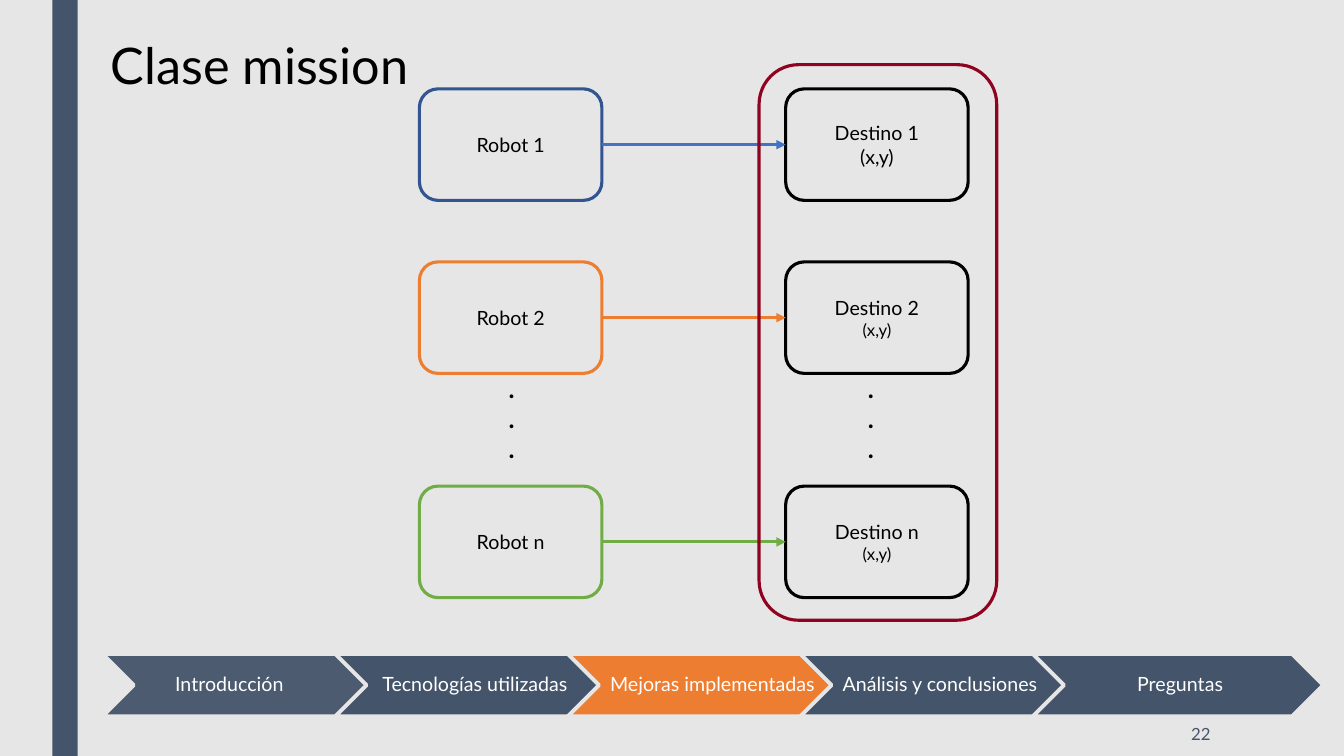
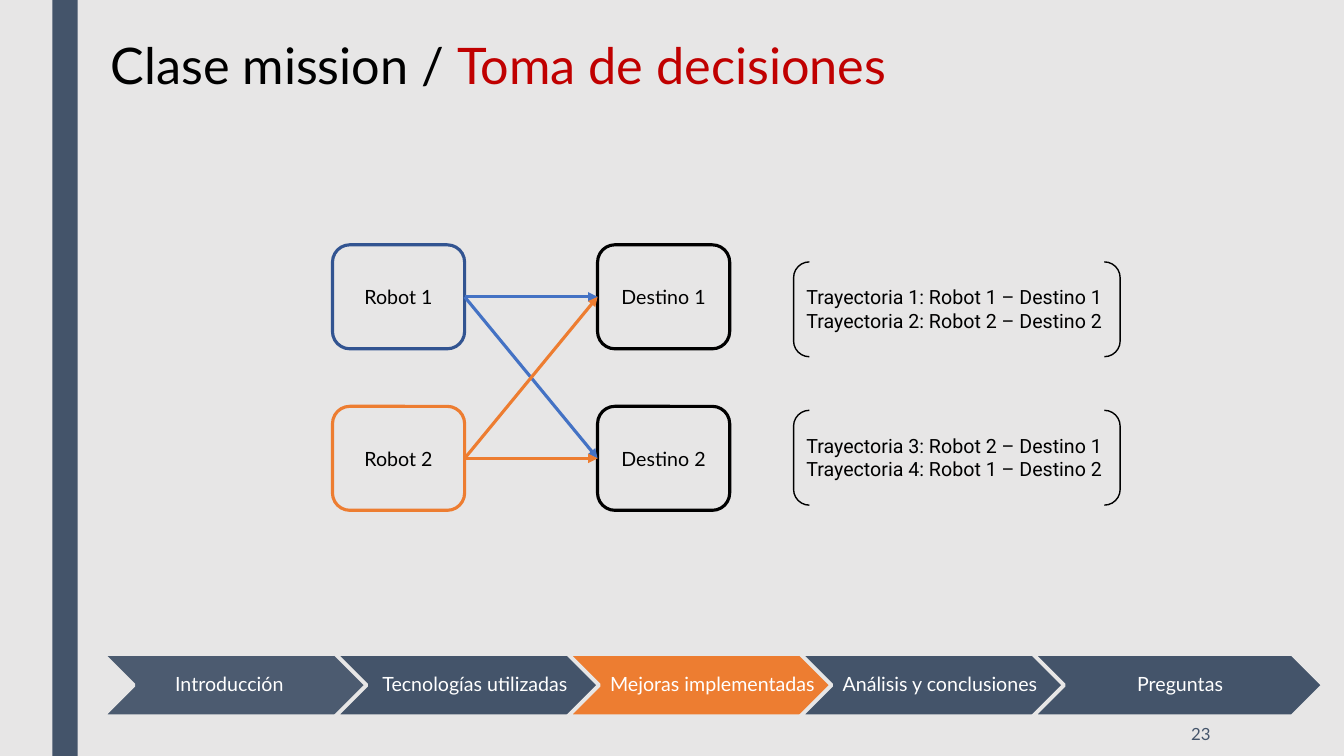
from lxml.etree import SubElement
from pptx import Presentation
from pptx.dml.color import RGBColor
from pptx.enum.shapes import MSO_CONNECTOR, MSO_SHAPE as Shape
from pptx.enum.text import MSO_ANCHOR as Anchor, PP_ALIGN as Align
from pptx.oxml.ns import qn
from pptx.util import Cm, Pt

# Shared style
BACKGROUND, SLATE, BLACK, WHITE = "E7E6E6", "44546A", "000000", "FFFFFF"
NAVY, BLUE, ORANGE, GREEN = "325491", "4472C4", "ED7D31", "70AD47"
WINE, RED = "8F0321", "C00000"
FONT, LIST_FONT = "Lato", "Roboto"
PAGE_WIDTH, PAGE_HEIGHT = 33.87, 19.05

# Section name, chevron width, left indent (None means centred)
SECTIONS = [
    ("Introducción", 8.43, 0.89),
    ("Tecnologías utilizadas", 8.43, 0.25),
    ("Mejoras implementadas", 8.43, 0.13),
    ("Análisis y conclusiones", 8.43, 0.13),
    ("Preguntas", 7.32, None),
]
CURRENT_SECTION = "Mejoras implementadas"


def rgb(color):
    return RGBColor.from_string(color)


def style_span(span, size, color=BLACK, font=FONT, bold=False):
    span.font.size = Pt(size)
    span.font.name = font
    span.font.bold = bold
    span.font.color.rgb = rgb(color)


def write(box, text, size, align=Align.LEFT, anchor=Anchor.TOP, **style):
    frame = box.text_frame
    frame.word_wrap = True
    frame.vertical_anchor = anchor
    frame.text = text
    for para in frame.paragraphs:
        para.alignment = align
        for span in para.runs:
            style_span(span, size, **style)
    return frame


def add_text(page, left, top, width, height, text, size, **options):
    box = page.shapes.add_textbox(Cm(left), Cm(top), Cm(width), Cm(height))
    return write(box, text, size, **options)


def add_shape(page, kind, left, top, width, height,
              fill=None, line=None, weight=2.25):
    shape = page.shapes.add_shape(
        kind, Cm(left), Cm(top), Cm(width), Cm(height))
    shape.shadow.inherit = False
    if fill:
        shape.fill.solid()
        shape.fill.fore_color.rgb = rgb(fill)
    else:
        shape.fill.background()
    if line:
        shape.line.color.rgb = rgb(line)
        shape.line.width = Pt(weight)
    else:
        shape.line.fill.background()
    return shape


def add_node(page, left, top, width, height, text, line):
    node = add_shape(page, Shape.ROUNDED_RECTANGLE,
                     left, top, width, height, line=line)
    write(node, text, 14, align=Align.CENTER, anchor=Anchor.MIDDLE)
    return node


def add_arrow(page, start, end, color):
    """Join the right side of one node to the left side of another."""
    arrow = page.shapes.add_connector(MSO_CONNECTOR.STRAIGHT, 0, 0, 0, 0)
    arrow.begin_connect(start, 3)
    arrow.end_connect(end, 1)
    arrow.line.color.rgb = rgb(color)
    arrow.line.width = Pt(2.25)
    SubElement(arrow.line._get_or_add_ln(), qn("a:tailEnd"), type="triangle")
    SubElement(arrow._element.spPr, qn("a:effectLst"))


def add_title(page, text, width, accent=""):
    frame = add_text(page, 2.54, 0.74, width, 1.8, text, 36)
    if accent:
        span = frame.paragraphs[0].add_run()
        span.text = accent
        style_span(span, 36, RED)


def add_progress(page):
    for index, (name, width, indent) in enumerate(SECTIONS):
        color = ORANGE if name == CURRENT_SECTION else SLATE
        chevron = add_shape(page, Shape.CHEVRON, 2.59 + 5.86 * index, 16.48,
                            width, 1.57, fill=color, line=BACKGROUND,
                            weight=2.75)
        frame = write(chevron, name, 14, color=WHITE, anchor=Anchor.MIDDLE,
                      align=Align.CENTER if indent is None else Align.LEFT)
        frame.margin_left = Cm(0.15 + (indent or 0))
        frame.margin_right = frame.margin_top = frame.margin_bottom = Cm(0.05)
        frame.paragraphs[0].line_spacing = 0.9
        if index == 0:
            tint = chevron.fill._xPr.find(qn("a:solidFill"))[0]
            SubElement(tint, qn("a:alpha"), val="95000")


def add_page(deck, number):
    page = deck.slides.add_slide(deck.slide_layouts[6])
    add_shape(page, Shape.RECTANGLE, 1.32, 0, 0.64, PAGE_HEIGHT, fill=SLATE)
    add_progress(page)
    add_text(page, 26.31, 17.93, 4.45, 1.12, str(number), 12,
             color=SLATE, align=Align.RIGHT, anchor=Anchor.MIDDLE)
    return page


def build_mission(deck):
    page = add_page(deck, 22)
    add_title(page, "Clase mission", 8.51)

    # One robot and its destination per row
    rows = [("1", 2.24, NAVY, BLUE, 14),
            ("2", 6.6, ORANGE, ORANGE, 12),
            ("n", 12.25, GREEN, GREEN, 12)]
    for name, top, border, arrow_color, point_size in rows:
        robot = add_node(page, 10.57, top, 4.6, 2.81, f"Robot {name}", border)
        target = add_node(page, 19.8, top, 4.6, 2.81,
                          f"Destino {name}\n(x,y)", BLACK)
        point = target.text_frame.paragraphs[1].runs[0]
        point.font.size = Pt(point_size)
        add_arrow(page, robot, target, arrow_color)

    # Frame around the destinations
    add_shape(page, Shape.ROUNDED_RECTANGLE, 19.13, 1.63, 5.99, 14,
              line=WINE)

    # Dots for the rows left out
    for left in (12.57, 21.62):
        add_text(page, left, 9.27, 0.69, 2.57, ".\n.\n.", 18, bold=True)


def build_decisions(deck):
    page = add_page(deck, 23)
    add_title(page, "Clase mission / ", 26.29, accent="Toma de decisiones")

    # Every robot is joined to every destination
    tops = [6.17, 10.24]
    robots = [add_node(page, 8.38, top, 3.33, 2.62, f"Robot {number}", border)
              for number, (top, border)
              in enumerate(zip(tops, (NAVY, ORANGE)), 1)]
    targets = [add_node(page, 15.06, top, 3.33, 2.62,
                        f"Destino {number}", BLACK)
               for number, top in enumerate(tops, 1)]
    for robot, color in zip(robots, (BLUE, ORANGE)):
        for target in targets:
            add_arrow(page, robot, target, color)

    # Bracketed options
    options = [
        "Trayectoria 1: Robot 1 – Destino 1\n"
        "Trayectoria 2: Robot 2 – Destino 2",
        "Trayectoria 3: Robot 2 – Destino 1\n"
        "Trayectoria 4: Robot 1 – Destino 2",
    ]
    for index, text in enumerate(options):
        top = 6.6 + 3.74 * index
        add_text(page, 20.07, top + 0.46, 8.36, 2.5, text, 14, font=LIST_FONT)
        add_shape(page, Shape.DOUBLE_BRACKET, 20, top, 8.23, 2.39,
                  line=BLACK, weight=1)


def main():
    deck = Presentation()
    deck.slide_width, deck.slide_height = Cm(PAGE_WIDTH), Cm(PAGE_HEIGHT)
    backdrop = deck.slide_master.background.fill
    backdrop.solid()
    backdrop.fore_color.rgb = rgb(BACKGROUND)
    build_mission(deck)
    build_decisions(deck)
    deck.save("out.pptx")


if __name__ == "__main__":
    main()
